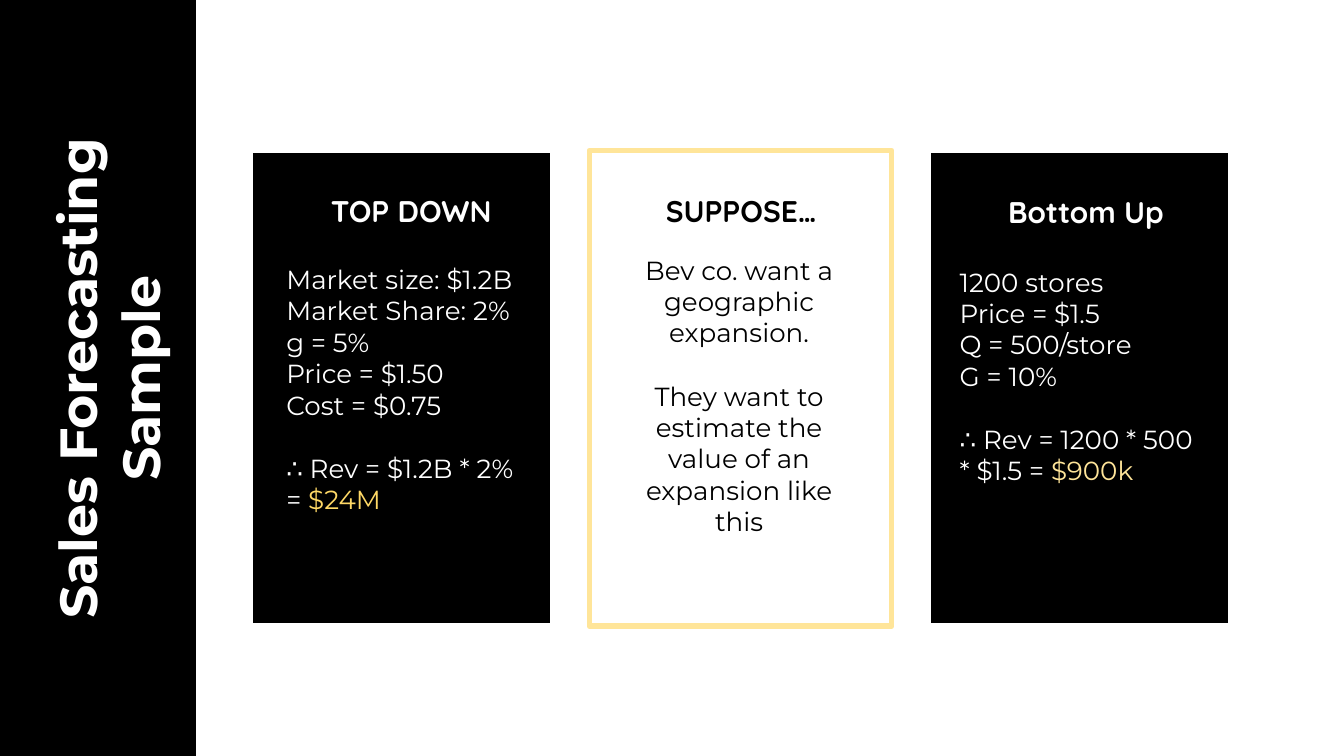
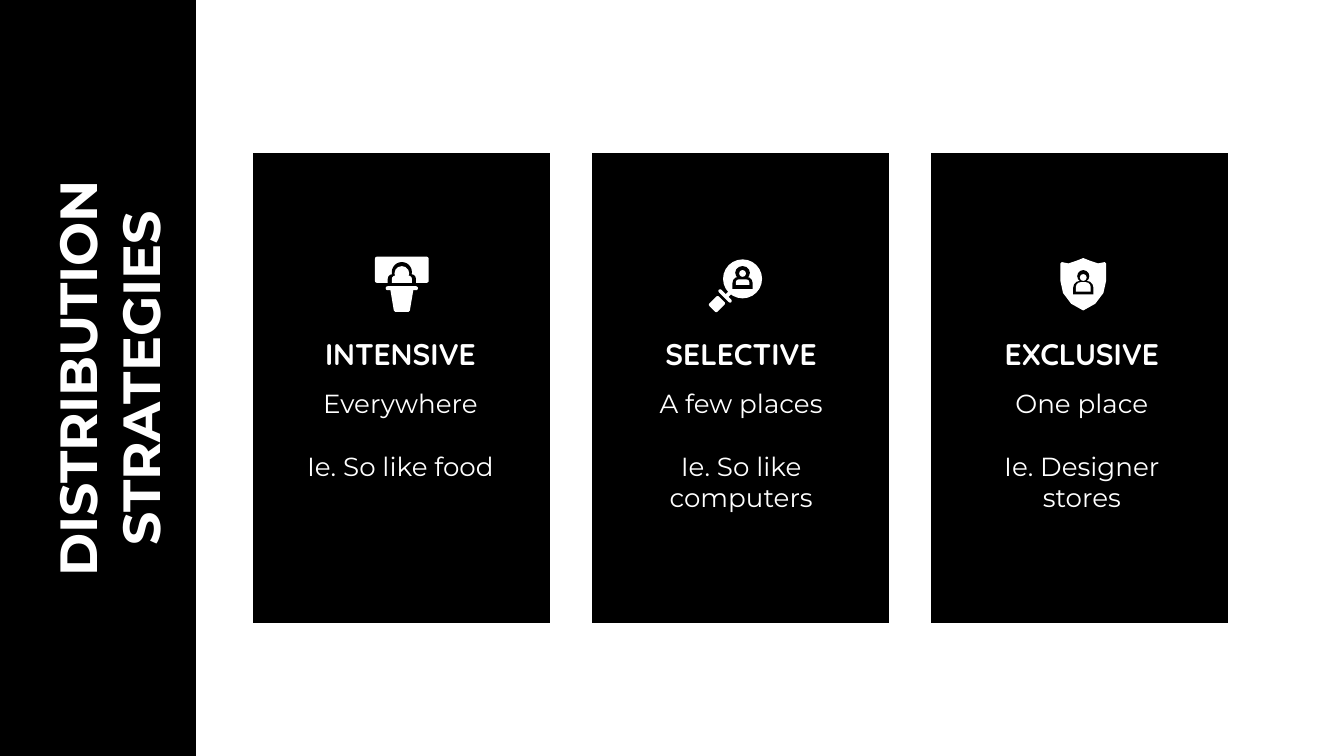
from copy import deepcopy
from dataclasses import dataclass
from typing import NamedTuple

from lxml import etree
from pptx import Presentation
from pptx.dml.color import RGBColor
from pptx.enum.shapes import MSO_SHAPE
from pptx.enum.text import MSO_ANCHOR, MSO_AUTO_SIZE, PP_ALIGN
from pptx.oxml.ns import qn
from pptx.util import Inches, Pt

BLACK = RGBColor(0x00, 0x00, 0x00)
WHITE = RGBColor(0xFF, 0xFF, 0xFF)
CREAM = RGBColor(0xFF, 0xE5, 0x99)
GOLD = RGBColor(0xFF, 0xD9, 0x66)

RECTANGLE = MSO_SHAPE.RECTANGLE
ROUNDED = MSO_SHAPE.ROUNDED_RECTANGLE
SHOULDERS = MSO_SHAPE.ROUND_2_SAME_RECTANGLE
ELLIPSE = MSO_SHAPE.OVAL
CENTER, LEFT = PP_ALIGN.CENTER, PP_ALIGN.LEFT
TOP = MSO_ANCHOR.TOP
NO_AUTOFIT = MSO_AUTO_SIZE.NONE

CELL = Inches(0.01)
COLUMNS, ROWS = 1000, 562.5
CARD_LEFT, CARD_TOP, CARD_WIDTH, CARD_HEIGHT = 186, 112, 225, 354
CARD_STEP = 252.5
COMPARISON_LAYOUT = 4
HEADING_SLOTS, BODY_SLOTS = (1, 3, 13), (2, 4, 14)

TITLE_FONT = {"name": "Montserrat", "size": Pt(28), "bold": True}
HEADING_FONT = {"name": "Quicksand", "size": Pt(16), "bold": True}
BODY_FONT = {"name": "Montserrat", "size": Pt(14), "bold": False}
FRAME = {"word_wrap": True, "auto_size": NO_AUTOFIT, "vertical_anchor": TOP,
         **{f"margin_{side}": Inches(0.1) for side in ("left", "top", "right", "bottom")}}


class Box(NamedTuple):
    """A rectangle in grid cells."""
    left: float
    top: float
    width: float
    height: float

    def inner(self, left, top, width, height):
        """Return a box measured from this box's top left corner."""
        return Box(self.left + left, self.top + top, width, height)

    def lengths(self):
        """Return the four lengths in slide units."""
        return [round(value * CELL) for value in self]


@dataclass
class Card:
    """The wording of a card and the places of its texts inside it."""
    heading: str
    lines: list
    heading_at: tuple
    body_box: tuple
    fill: RGBColor = BLACK
    border: RGBColor = WHITE
    align: PP_ALIGN = CENTER


def set_values(target, values):
    """Set each attribute named in the values."""
    for name, value in values.items():
        setattr(target, name, value)


def style(shape, fill, border=None, weight=0):
    """Give a shape a flat fill and an optional border."""
    shape.shadow.inherit = False
    shape.fill.solid()
    shape.fill.fore_color.rgb = fill
    if border is None:
        shape.line.fill.background()
    else:
        shape.line.color.rgb = border
        shape.line.width = Pt(weight)
    return shape


def draw(page, kind, box, fill, rotation=0):
    """Draw a borderless preset shape."""
    shape = style(page.shapes.add_shape(kind, *box.lengths()), fill)
    shape.rotation = rotation
    return shape


def draw_outline(page, origin, points, fill):
    """Draw a closed outline from points measured from an origin box."""
    corners = [(origin.left + x, origin.top + y) for x, y in points]
    builder = page.shapes.build_freeform(*corners[0], scale=CELL)
    builder.add_line_segments(corners[1:], close=True)
    return style(builder.convert_to_shape(), fill)


def write(holder, box, lines, font, color, align, last_gap=0):
    """Place a placeholder and fill it with lines of plain or coloured runs."""
    set_values(holder, dict(zip(("left", "top", "width", "height"), box.lengths())))
    frame = holder.text_frame
    set_values(frame, FRAME)
    for number, line in enumerate(lines):
        para = frame.paragraphs[0] if number == 0 else frame.add_paragraph()
        is_last = 0 < number == len(lines) - 1
        set_values(para, {"alignment": align, "line_spacing": 1.0, "space_after": Pt(0),
                          "space_before": Pt(last_gap if is_last else 0)})
        properties = para._p.get_or_add_pPr()
        properties.set("marL", "0")
        properties.set("indent", "0")
        etree.SubElement(properties, qn("a:buNone"))
        for text, accent in [(line, color)] if isinstance(line, str) else line:
            span = para.add_run()
            span.text = text
            set_values(span.font, font)
            span.font.color.rgb = accent


def prepare_layout(deck):
    """Add a third heading and body to the comparison layout."""
    layout = deck.slide_layouts[COMPARISON_LAYOUT]
    holders = {item.placeholder_format.idx: item.element for item in layout.placeholders}
    for slots in (HEADING_SLOTS, BODY_SLOTS):
        twin = deepcopy(holders[slots[0]])
        twin.xpath(".//p:cNvPr")[0].set("id", str(100 + slots[2]))
        twin.xpath(".//p:ph")[0].set("idx", str(slots[2]))
        holders[slots[1]].getparent().append(twin)
    return layout


def add_band(page, layout):
    """Draw the side band and hand it to the layout for all slides."""
    band = draw(page, RECTANGLE, Box(-8, -6, 155, 578), BLACK)
    style(band, BLACK, WHITE, 1.5)
    layout.placeholders[0].element.getparent().insert(2, band.element)


def add_title(page, text):
    """Write the slide title upwards along the band."""
    write(page.shapes.title, Box(-164, 250, 438, 63), [text], TITLE_FONT, WHITE, CENTER)
    page.shapes.title.rotation = 270


def add_card(page, number, card):
    """Draw one card with its heading and body and return its box."""
    box = Box(CARD_LEFT + number * CARD_STEP, CARD_TOP, CARD_WIDTH, CARD_HEIGHT)
    panel = draw(page, RECTANGLE, box, card.fill)
    style(panel, card.fill, card.border, 3)
    panel.element.getparent().insert(2, panel.element)
    color = WHITE if card.fill == BLACK else BLACK
    write(page.placeholders[HEADING_SLOTS[number]], box.inner(*card.heading_at, 170, 34),
          [card.heading], HEADING_FONT, color, CENTER)
    write(page.placeholders[BODY_SLOTS[number]], box.inner(*card.body_box),
          card.lines, BODY_FONT, color, card.align, last_gap=17)
    return box


def add_person(page, origin, center, parts):
    """Draw a person from heads and shoulders given as top, width and height."""
    kinds = (ELLIPSE, SHOULDERS) * 2
    for kind, fill, (top, width, height) in zip(kinds, (BLACK, BLACK, WHITE, WHITE), parts):
        shape = draw(page, kind, origin.inner(center - width / 2, top, width, height), fill)
        if kind == SHOULDERS:
            shape.adjustments[0] = 0.5


def add_podium(page, card):
    """Draw a speaker behind a lectern in front of a sign."""
    icon = card.inner(93, 79, 40, 41)
    draw(page, ROUNDED, icon.inner(0, 0, 40, 19.5), WHITE).adjustments[0] = 0.08
    add_person(page, icon, 20, [(4, 15, 15), (13, 21, 7), (7, 11, 11), (14, 15, 5.5)])
    draw(page, ROUNDED, icon.inner(8, 22, 24, 3), WHITE).adjustments[0] = 0.5
    draw_outline(page, icon, [(11, 22), (29, 22), (26, 40), (25, 41), (15, 41), (14, 40)], WHITE)


def add_magnifier(page, card):
    """Draw a magnifying glass over a person."""
    icon = card.inner(88.5, 81, 40, 40)
    draw(page, ELLIPSE, icon.inner(11, 0, 29, 29), WHITE)
    draw(page, RECTANGLE, icon.inner(13, 23.5, 6, 3), WHITE, 315)
    draw(page, ROUNDED, icon.inner(6, 26, 13, 2.5), WHITE, 45).adjustments[0] = 0.5
    draw(page, ROUNDED, icon.inner(1.5, 29, 10, 8.5), WHITE, 315).adjustments[0] = 0.15
    add_person(page, icon, 25.5, [(5, 11, 10), (13, 15, 9), (8, 5, 5), (15, 10, 4)])


def add_shield(page, card):
    """Draw a shield around a person."""
    icon = card.inner(98, 80, 34, 39)
    side = [(17, 0), (12, 2.5), (6, 3.5), (1, 3), (0, 4), (0, 17), (2, 26), (8, 34), (17, 39)]
    mirrored = [(34 - x, y) for x, y in side[-2:0:-1]]
    draw_outline(page, icon, side + mirrored, WHITE)
    add_person(page, icon, 17, [(9, 9, 9), (17, 15, 10), (12, 5, 5), (18, 11, 7)])


def add_cards_slide(page, title, cards, icons=()):
    """Fill a slide with a title, three cards and any icons."""
    add_title(page, title)
    boxes = [add_card(page, number, card) for number, card in enumerate(cards)]
    for add_icon, box in zip(icons, boxes):
        add_icon(page, box)


def strategy_card(number, heading, reach, example):
    """Describe a card whose texts sit under an icon."""
    left = 27 + number
    return Card(heading, [reach, example], (left, 128), (left, 166, 170, 117))


FORECAST_CARDS = [
    Card("TOP DOWN",
         ["Market size: $1.2B", "Market Share: 2%", "g = 5%", "Price = $1.50", "Cost = $0.75",
          [("∴ Rev = $1.2B * 2% = ", WHITE), ("$24M", GOLD)]],
         (35, 21), (17, 74, 195, 257), align=LEFT),
    Card("SUPPOSE…",
         ["Bev co. want a geographic expansion.",
          "They want to estimate the value of an expansion like this"],
         (28, 21), (14, 67, 195, 95), fill=WHITE, border=CREAM),
    Card("Bottom Up",
         ["1200 stores", "Price = $1.5", "Q = 500/store", "G = 10%",
          [("∴ Rev = 1200 * 500 * $1.5 = ", WHITE), ("$900k", CREAM)]],
         (32, 22), (13, 76, 195, 257), align=LEFT),
]
STRATEGY_CARDS = [strategy_card(number, *texts) for number, texts in enumerate([
    ("INTENSIVE", "Everywhere", "Ie. So like food"),
    ("SELECTIVE", "A few places", "Ie. So like computers"),
    ("EXCLUSIVE", "One place", "Ie. Designer stores"),
])]


def main():
    """Build and save the deck."""
    deck = Presentation()
    deck.slide_width, deck.slide_height = round(COLUMNS * CELL), round(ROWS * CELL)
    layout = prepare_layout(deck)
    forecast, strategies = [deck.slides.add_slide(layout) for _ in range(2)]
    add_band(forecast, layout)
    add_cards_slide(forecast, "Sales Forecasting Sample", FORECAST_CARDS)
    add_cards_slide(strategies, "DISTRIBUTION STRATEGIES", STRATEGY_CARDS,
                    (add_podium, add_magnifier, add_shield))
    deck.save("out.pptx")


if __name__ == "__main__":
    main()
